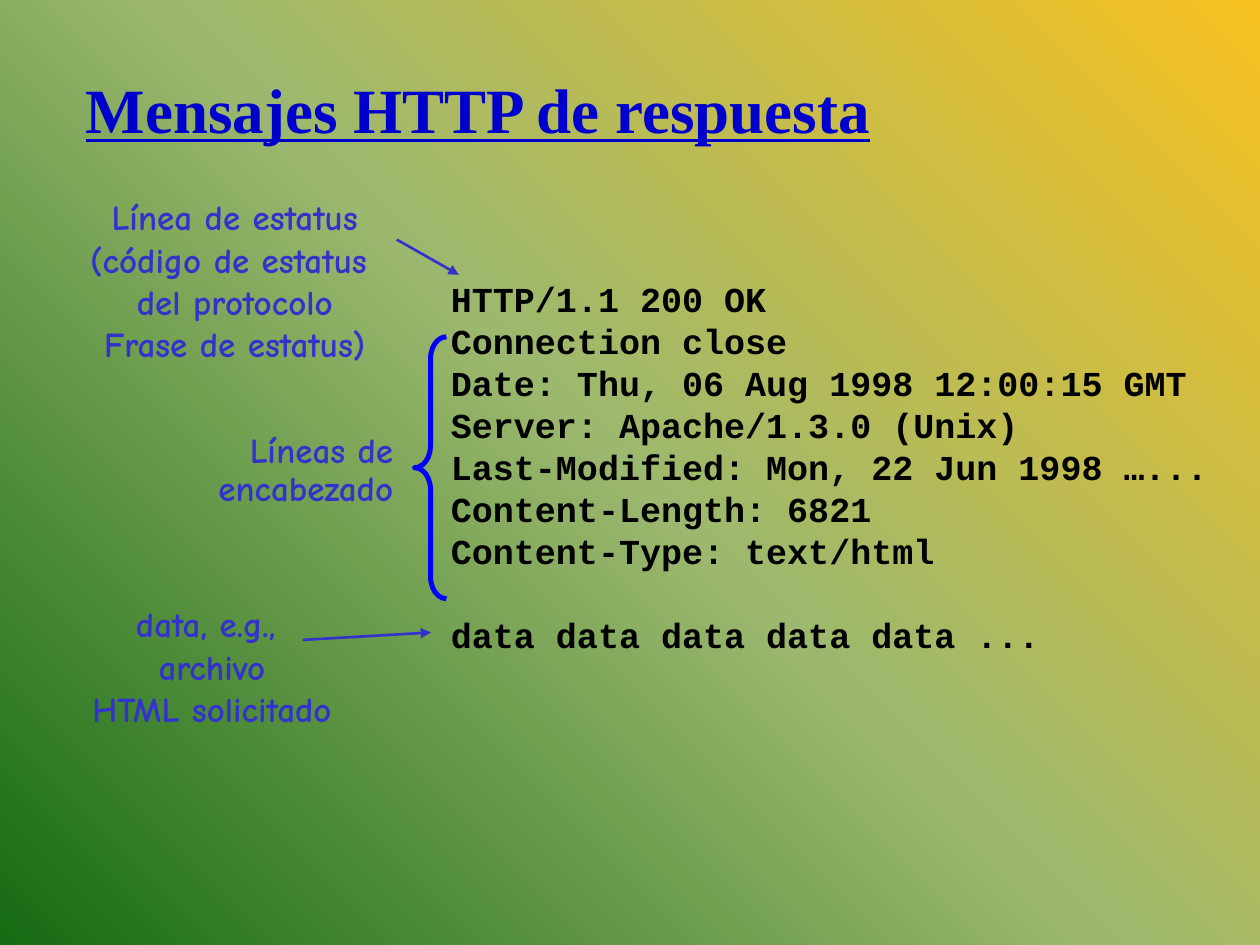
from copy import deepcopy
from pptx import Presentation
from pptx.dml.color import RGBColor
from pptx.enum.shapes import MSO_CONNECTOR, MSO_SHAPE
from pptx.enum.text import MSO_ANCHOR, PP_ALIGN
from pptx.oxml.ns import qn
from pptx.util import Cm, Pt
from lxml.etree import SubElement

HUES = {
    "gold": "F7C120", "sage": "9CB86E", "green": "156B13",
    "title": "0000CC", "note": "3333CC", "code": "000000", "brace": "0000FF",
}


def hue(name):
    return RGBColor.from_string(HUES[name])


def write(box, lines, face, size, tint, align=PP_ALIGN.LEFT):
    frame = box.text_frame
    frame.word_wrap = True
    for i, line in enumerate(lines):
        para = frame.paragraphs[0] if i == 0 else frame.add_paragraph()
        para.alignment = align
        run = para.add_run()
        run.text = line
        font = run.font
        font.name, font.size, font.bold = face, Pt(size), True
        font.color.rgb = hue(tint)
    return frame


deck = Presentation()
deck.slide_width, deck.slide_height = Cm(25.4), Cm(19.05)
slide = deck.slides.add_slide(deck.slide_layouts[6])

# Background: three-stop diagonal gradient
fill = slide.background.fill
fill.gradient()
fill.gradient_angle = 225
stops = next(slide.element.iter(qn("a:gsLst")))
stops.append(deepcopy(stops[0]))
for stop, name, place in zip(fill.gradient_stops, ("gold", "sage", "green"), (0, 0.5, 1)):
    stop.color.rgb = hue(name)
    stop.position = place

# Title
box = slide.shapes.add_textbox(Cm(1.48), Cm(0.63), Cm(21.59), Cm(3.18))
title = write(box, ["Mensajes HTTP de respuesta"], "Times New Roman", 36, "title")
title.vertical_anchor = MSO_ANCHOR.MIDDLE
title.margin_top = Cm(0.27)
title.paragraphs[0].line_spacing = 0.88
title.paragraphs[0].runs[0].font.underline = True

# Response message and the notes on its left
parts = [
    ((8.84, 5.51, 16.33, 7.9), PP_ALIGN.LEFT, "Courier New", "code", [
        "HTTP/1.1 200 OK",
        "Connection close",
        "Date: Thu, 06 Aug 1998 12:00:15 GMT",
        "Server: Apache/1.3.0 (Unix)",
        "Last-Modified: Mon, 22 Jun 1998 …...",
        "Content-Length: 6821",
        "Content-Type: text/html",
        "data data data data data ...",
    ]),
    ((1.09, 3.92, 7.29, 3.66), PP_ALIGN.CENTER, "Comic Neue", "note",
     ["Línea de estatus", "(código de estatus ", "del protocolo", "Frase de estatus)"]),
    ((1.25, 12.12, 6.05, 2.79), PP_ALIGN.CENTER, "Comic Neue", "note",
     ["data, e.g., ", "archivo", "HTML solicitado"]),
    ((3.76, 8.61, 4.42, 1.8), PP_ALIGN.RIGHT, "Comic Neue", "note",
     ["Líneas de", "encabezado"]),
]
frames = []
for area, align, face, tint, lines in parts:
    box = slide.shapes.add_shape(MSO_SHAPE.ROUNDED_RECTANGLE, *[Cm(n) for n in area])
    box.adjustments[0] = 0
    box.shadow.inherit = False
    box.fill.background()
    box.line.fill.background()
    frame = write(box, lines, face, 20, tint, align)
    frame.vertical_anchor = MSO_ANCHOR.TOP
    frame.paragraphs[0].line_spacing = 0.9
    frames.append(frame)
frames[-1].paragraphs[1].line_spacing = 0.9

# Even line pitch in the message, with a gap before the body
reply = frames[0]
reply.margin_top = Cm(0.09)
for para in reply.paragraphs:
    para.line_spacing = Pt(24)
reply.paragraphs[-1].space_before = Pt(24)

# Arrows from notes to message
for ends in ((8, 4.83, 9.25, 5.54), (6.1, 12.9, 8.69, 12.75)):
    arrow = slide.shapes.add_connector(MSO_CONNECTOR.STRAIGHT, *[Cm(n) for n in ends])
    arrow.line.color.rgb = hue("note")
    arrow.line.width = Pt(1.5)
    SubElement(arrow.line._get_or_add_ln(), qn("a:tailEnd"), type="triangle")
    SubElement(arrow._element.spPr, qn("a:effectLst"))

# Brace around the header lines
brace = slide.shapes.add_shape(MSO_SHAPE.LEFT_BRACE, Cm(8.36), Cm(6.79), Cm(0.64), Cm(5.28))
brace.adjustments[0] = 0.69
brace.shadow.inherit = False
brace.fill.background()
brace.line.color.rgb = hue("brace")
brace.line.width = Pt(2.83)

deck.save("out.pptx")
